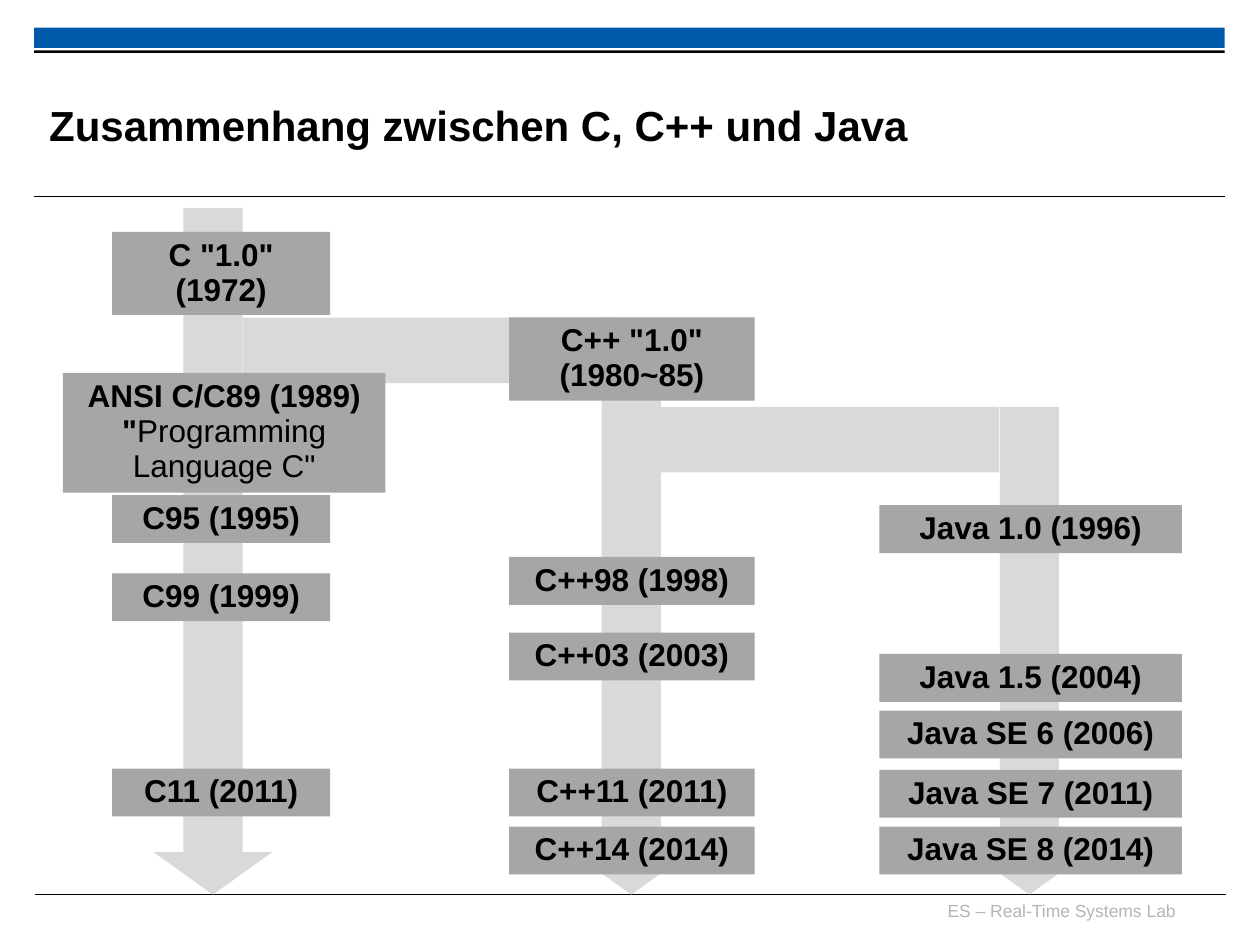
from pptx import Presentation, util as u
from pptx.dml.color import RGBColor
from pptx.enum import shapes as sh, text as tx
from pptx.oxml.ns import qn
from lxml import etree

DARK, LIGHT, BLACK = "A6A6A6", "D9D9D9", "000000"
LOW, TALL, HIGH = 0.38, 0.66, 0.95
BASE = 7.1


def color(code):
    """Turn a hex string into a colour."""
    return RGBColor.from_string(code)


def span(*sizes):
    """Turn inches into lengths."""
    return [u.Inches(size) for size in sizes]


def write(frame, words, tail="", size=18, bold=True, ink=BLACK,
          align=tx.PP_ALIGN.CENTER, lead=None):
    """Fill a text frame with one formatted paragraph and a plain tail."""
    frame.word_wrap = True
    para = frame.paragraphs[0]
    para.text = words
    para.alignment = align
    para.line_spacing = lead
    if tail:
        para.add_run().text = tail
    for run in para.runs:
        font = run.font
        font.name, font.size = "Arial", u.Pt(size)
        font.bold = bold and run.text != tail
        font.color.rgb = color(ink)


def pad(frame):
    """Remove the margins of a text frame."""
    frame.margin_left = frame.margin_right = 0
    frame.margin_top = frame.margin_bottom = 0


def block(pool, box, fill, kind=sh.MSO_SHAPE.RECTANGLE):
    """Draw a plain filled shape."""
    shape = pool.add_shape(kind, *span(*box))
    shape.shadow.inherit = False
    shape.fill.solid()
    shape.fill.fore_color.rgb = color(fill)
    shape.line.fill.background()
    return shape


def rule(slide, left, top):
    """Draw a thin line across the slide."""
    line = slide.shapes.add_connector(
        sh.MSO_CONNECTOR.STRAIGHT, *span(left, top, left + 9.45, top))
    line.line.color.rgb = color(BLACK)
    line.line.width = u.Pt(0.6)
    etree.SubElement(line._element.spPr, qn("a:effectLst"))


def arrow(slide, left, top):
    """Draw a time arrow down to the base line."""
    shape = block(slide.shapes, (left, top, 0.94, BASE - top), LIGHT,
                  sh.MSO_SHAPE.DOWN_ARROW)
    shape.adjustments[0], shape.adjustments[1] = 0.5, 0.358


def label(pool, box, words, tail=""):
    """Draw a version box."""
    frame = block(pool, box, DARK).text_frame
    write(frame, words, tail, lead=0.93)
    frame.vertical_anchor = tx.MSO_ANCHOR.TOP


def column(pool, left, width, rows):
    """Draw the version boxes of one language."""
    for top, high, words in rows:
        label(pool, (left, top, width, high), words)


def frame_page(slide):
    """Draw the bars, rules, footer and title."""
    rule(slide, 0.28, BASE)
    block(slide.shapes, (0.27, 0.22, 9.45, 0.16), "005AA9")
    block(slide.shapes, (0.27, 0.4, 9.45, 0.02), BLACK)
    foot = slide.shapes.add_textbox(*span(7.36, 7.14, 1.97, 0.25)).text_frame
    pad(foot)
    write(foot, "ES – Real-Time Systems Lab", size=10, bold=False,
          ink="B5B5B5", align=tx.PP_ALIGN.RIGHT)
    rule(slide, 0.27, 1.56)
    title = slide.shapes.title
    title.left, title.top, title.width, title.height = span(
        0.39, 0.53, 7.52, 0.92)
    pad(title.text_frame)
    title.text_frame.vertical_anchor = tx.MSO_ANCHOR.MIDDLE
    write(title.text_frame, "Zusammenhang zwischen C, C++ und Java",
          size=24, align=tx.PP_ALIGN.LEFT)


def main():
    """Build the slide."""
    deck = Presentation()
    deck.slide_width, deck.slide_height = span(10, 7.5)
    slide = deck.slides.add_slide(deck.slide_layouts[5])
    pool = slide.shapes
    frame_page(slide)
    for left, top, width in ((5.17, 3.23, 2.76), (1.93, 2.52, 2.91)):
        block(pool, (left, top, width, 0.52), LIGHT)
    for left, top in ((7.7, 3.23), (4.54, 2.52), (1.22, 1.65)):
        arrow(slide, left, top)
    column(pool, 0.89, 1.73, [
        (1.84, TALL, 'C "1.0" (1972)'), (3.93, LOW, "C95 (1995)"),
        (4.55, LOW, "C99 (1999)"), (6.1, LOW, "C11 (2011)")])
    label(pool, (0.5, 2.96, 2.56, HIGH), 'ANSI C/C89 (1989)\v"',
          'Programming Language C"')
    column(pool.add_group_shape().shapes, 4.04, 1.95, [
        (2.52, TALL, 'C++ "1.0" (1980~85)'), (4.42, LOW, "C++98 (1998)"),
        (5.02, LOW, "C++03 (2003)"), (6.1, LOW, "C++11 (2011)"),
        (6.56, LOW, "C++14 (2014)")])
    column(pool.add_group_shape().shapes, 6.98, 2.4, [
        (4.01, LOW, "Java 1.0 (1996)"), (5.19, LOW, "Java 1.5 (2004)"),
        (5.64, LOW, "Java SE 6 (2006)"), (6.11, LOW, "Java SE 7 (2011)"),
        (6.56, LOW, "Java SE 8 (2014)")])
    deck.save("out.pptx")


if __name__ == "__main__":
    main()
